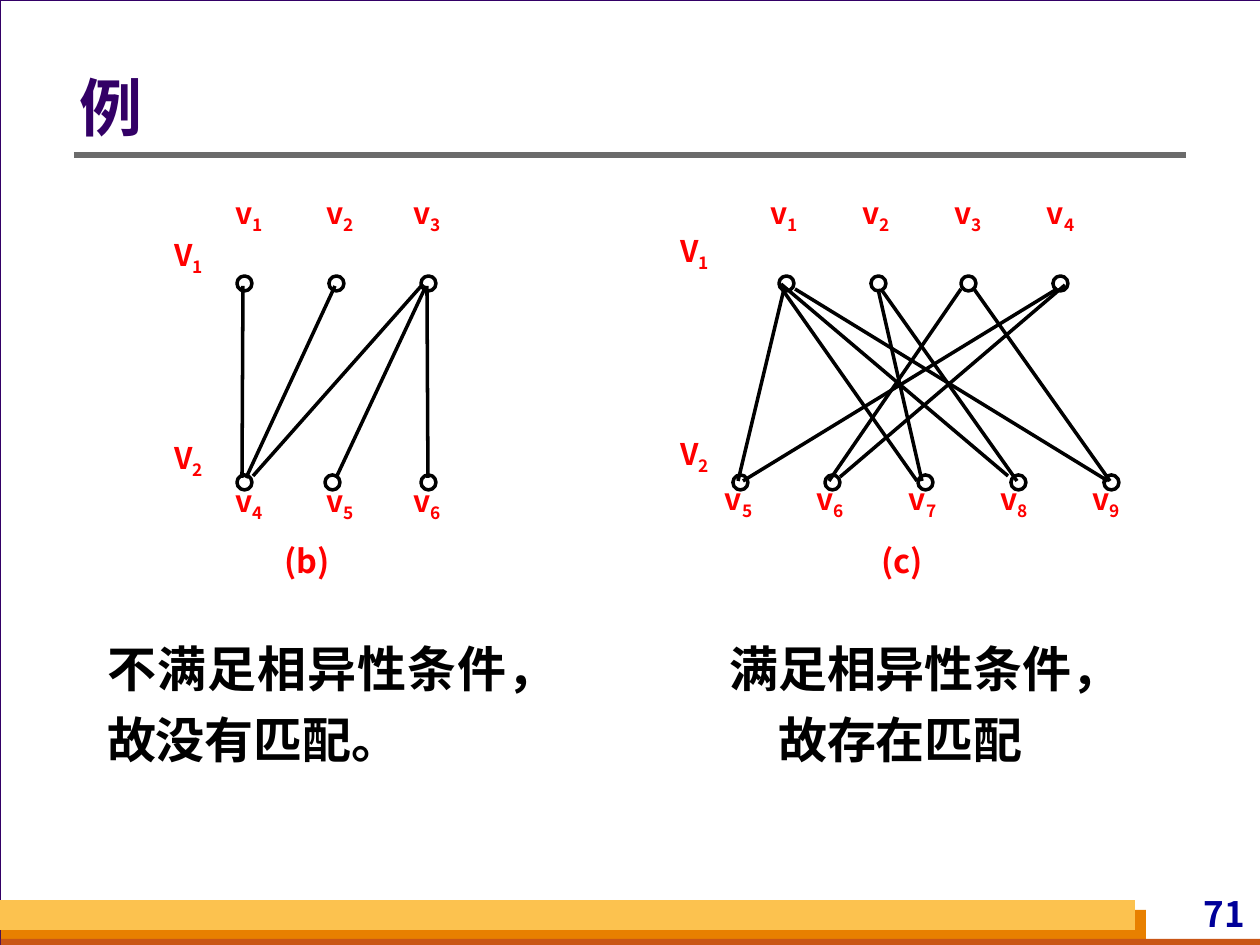
from lxml import etree
from pptx import Presentation, util as u
from pptx.dml.color import RGBColor
from pptx.enum import shapes, text
from pptx.oxml.ns import qn

FONT = "Noto Sans CJK SC"
WHITE = RGBColor(0xFF, 0xFF, 0xFF)
BLACK = RGBColor(0, 0, 0)
RED = RGBColor(0xFF, 0, 0)
PURPLE = RGBColor(0x33, 0, 0x66)
NAVY = RGBColor(0, 0, 0x99)
GRAY = RGBColor(0x6B, 0x6B, 0x6B)
BACKDROP = RGBColor(0xD8, 0xDA, 0xDA)
ORANGE = RGBColor(0xE8, 0x80, 0)
RUST = RGBColor(0xC9, 0x56, 0x16)
YELLOW = RGBColor(0xFC, 0xC2, 0x4F)

NODE = 15
NODE_ROWS = (276, 475)
LABEL = (59, 42)
CAPTION = (546, 88, 42)
EDGE_HEIGHT = 192

PANELS = [
    ((0, 0, 1261, 945), WHITE, PURPLE),
    ((1, 910, 1145, 35), ORANGE, None),
    ((1, 939, 1260, 10), RUST, None),
    ((0, 900, 1135, 30), YELLOW, None),
]

# Edges hold the upper x, the upper y and the lower x.
GRAPHS = [
    {
        "caption": ("(b)", 263),
        "sets": (159, (237, 440)),
        "label_rows": (195, 483),
        "label_columns": ([220, 311, 398], [220, 311, 398]),
        "node_columns": ([237, 329, 421], [237, 325, 421]),
        "edges": [(427, 286, 428), (243, 286, 242), (335, 286, 246),
                  (423, 284, 253), (426, 286, 336)],
    },
    {
        "caption": ("(c)", 858),
        "sets": (665, (233, 436)),
        "label_rows": (195, 481),
        "label_columns": (range(755, 1032, 92), range(709, 1078, 92)),
        "node_columns": ([779, 871, 961, 1053], [733, 825, 918, 1011, 1104]),
        "edges": [(878, 289, 922), (974, 289, 1110), (782, 289, 917),
                  (784, 289, 738), (795, 289, 1108), (781, 284, 1008),
                  (961, 289, 829), (881, 289, 1017), (1065, 285, 840),
                  (1057, 289, 743)],
    },
]

TITLE = ("例", (74, 48, 1111, 127))
BODY = ("不满足相异性条件，故没有匹配。", (94, 621, 427, 154))
REMARK = ("满足相异性条件，故存在匹配", (712, 621, 377, 154))
NUMBER = ("71", (1096, 892, 154, 42))


def px(value):
    return round(value * 914400 / 126)


def assign(target, values):
    for name, value in values.items():
        setattr(target, name, value)


def write(shape, parts, size, color, align, spacing=1.0,
          insets=(0, 0), anchor=text.MSO_ANCHOR.TOP):
    horizontal, vertical = (px(inset) for inset in insets)
    frame = shape.text_frame
    assign(frame, {
        "word_wrap": True, "auto_size": text.MSO_AUTO_SIZE.NONE,
        "vertical_anchor": anchor,
        "margin_left": horizontal, "margin_right": horizontal,
        "margin_top": vertical, "margin_bottom": vertical})
    paragraph = frame.paragraphs[0]
    assign(paragraph, {"alignment": align, "line_spacing": spacing,
                       "space_before": u.Pt(0)})
    for index, part in enumerate(parts):
        run = paragraph.add_run()
        run.text = part
        assign(run.font, {"name": FONT, "size": u.Pt(size), "bold": True})
        run.font.color.rgb = color
        properties = run._r.get_or_add_rPr()
        etree.SubElement(properties, qn("a:ea"), typeface=FONT)
        if index:
            properties.set("baseline", "-25000")
    return paragraph


def place(shape, box):
    assign(shape, dict(zip(("left", "top", "width", "height"), map(px, box))))


def add_text(parent, parts, box, *style, **options):
    shape = parent.add_textbox(*map(px, box))
    write(shape, parts, *style, **options)


def add_preset(parent, kind, box, fill, line, width):
    shape = parent.add_shape(kind, *map(px, box))
    shape.shadow.inherit = False
    if fill is None:
        shape.fill.background()
    else:
        shape.fill.solid()
        shape.fill.fore_color.rgb = fill
    if line is None:
        shape.line.fill.background()
    else:
        shape.line.color.rgb = line
        shape.line.width = u.Pt(width)


def add_line(parent, ends, color, width):
    line = parent.add_connector(shapes.MSO_CONNECTOR.STRAIGHT, *map(px, ends))
    line.line.color.rgb = color
    line.line.width = u.Pt(width)
    etree.SubElement(line._element.spPr, qn("a:effectLst"))


def add_graph(parent, graph):
    group = parent.add_group_shape().shapes
    center = text.PP_ALIGN.CENTER
    for x, y, lower_x in graph["edges"]:
        add_line(group, (x, y, lower_x, y + EDGE_HEIGHT), BLACK, 2)
    caption, left = graph["caption"]
    add_text(group, [caption], (left, *CAPTION), 18.5, RED, center, 0.9)

    left, tops = graph["sets"]
    labels = [("V", number, left, top) for number, top in enumerate(tops, 1)]
    vertices = [(x, y) for columns, y in zip(graph["label_columns"], graph["label_rows"])
                for x in columns]
    labels += [("v", number, x, y) for number, (x, y) in enumerate(vertices, 1)]
    for letter, number, x, y in labels:
        add_text(group, [letter, str(number)], (x, y, *LABEL), 17, RED, center, 0.9)

    for columns, y in zip(graph["node_columns"], NODE_ROWS):
        for x in columns:
            add_preset(group, shapes.MSO_SHAPE.OVAL, (x, y, NODE, NODE), None, BLACK, 2)


def main():
    presentation = Presentation()
    presentation.slide_width, presentation.slide_height = px(1260), px(945)
    slide = presentation.slides.add_slide(presentation.slide_layouts[1])
    slide.background.fill.solid()
    slide.background.fill.fore_color.rgb = BACKDROP
    title, body = slide.shapes.title, slide.placeholders[1]
    tree = slide.shapes

    for box, fill, line in PANELS:
        add_preset(tree, shapes.MSO_SHAPE.RECTANGLE, box, fill, line, 0.75)
    add_text(tree, [NUMBER[0]], NUMBER[1], 20, NAVY, text.PP_ALIGN.RIGHT, insets=(5, 0))
    add_line(tree, (74, 155, 1186, 155), GRAY, 3)

    for placeholder, (_, box) in ((title, TITLE), (body, BODY)):
        place(placeholder, box)
        tree._spTree.append(placeholder._element)
    write(title, [TITLE[0]], 36, PURPLE, text.PP_ALIGN.LEFT, 0.9,
          insets=(5, 0), anchor=text.MSO_ANCHOR.MIDDLE)
    paragraph = write(body, [BODY[0]], 28, BLACK, text.PP_ALIGN.JUSTIFY, 1.2, insets=(13, 6))
    properties = paragraph._p.get_or_add_pPr()
    properties.set("marL", "0")
    properties.set("indent", "0")
    etree.SubElement(properties, qn("a:buNone"))

    for graph in GRAPHS:
        add_graph(tree, graph)
    add_text(tree, [REMARK[0]], REMARK[1], 28, BLACK, text.PP_ALIGN.CENTER, 1.2, insets=(13, 6))
    presentation.save("out.pptx")


if __name__ == "__main__":
    main()
